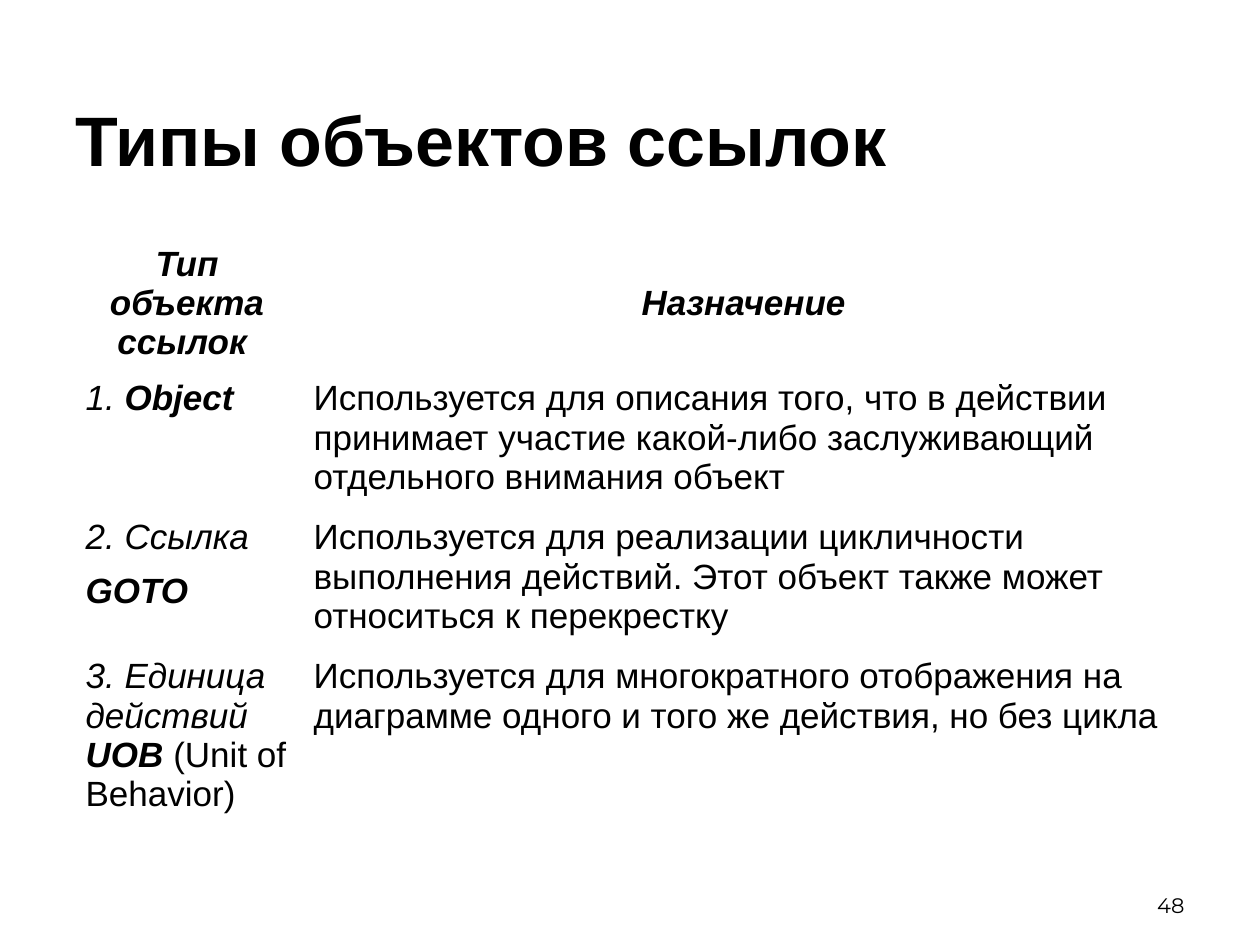
from lxml.etree import SubElement
from pptx import Presentation
from pptx.dml.color import RGBColor
from pptx.enum.text import MSO_ANCHOR, PP_ALIGN
from pptx.oxml.ns import qn
from pptx.util import Emu, Pt

SCALE = 914400 / 126  # EMU per px
COLORS = {"text": "000000", "border": "FFFFFF"}
FONT, NUMBER_FONT = "Arial", "Montserrat"
BODY_SIZE = 20

# Content: each cell is a list of (text, style[, size]); b = bold, i = italic
TITLE = "Типы объектов ссылок"
SLIDE_NUMBER = "48"
ROWS = [
    ([("Тип объекта ссылок ", "bi")],
     [("Назначение ", "bi")]),
    ([("1. ", "i"), ("Object", "bi")],
     [("Используется для описания того, что в действии принимает участие "
       "какой-либо заслуживающий отдельного внимания объект", "")]),
    ([("2. Ссылка ", "i"), ("GOTO", "bi"), (" ", "b", 29)],
     [("Используется для реализации цикличности выполнения действий. "
       "Этот объект также может относиться к перекрестку", "")]),
    ([("3. Единица действий ", "i"), ("UOB ", "bi"), ("(Unit of Behavior)", "")],
     [("Используется для многократного отображения на диаграмме "
       "одного и того же действия, но без цикла", "")]),
]
COL_WIDTHS = [228, 895]
ROW_HEIGHTS = [139, 139, 139, 180]


def px(n):
    return Emu(round(n * SCALE))


def add_run(p, text, style="", size=BODY_SIZE, font=FONT):
    r = p.add_run()
    r.text = text
    r.font.name, r.font.size = font, Pt(size)
    r.font.bold, r.font.italic = "b" in style, "i" in style
    r.font.color.rgb = RGBColor.from_string(COLORS["text"])


def add_text(s, box, text, anchor, align, **style):
    tf = s.shapes.add_textbox(*map(px, box)).text_frame
    tf.word_wrap = True
    tf.vertical_anchor = anchor
    p = tf.paragraphs[0]
    p.alignment = align
    add_run(p, text, **style)


def set_borders(cell, outer_sides):
    tc_pr = cell._tc.get_or_add_tcPr()
    for side in "LRTB":
        width = Pt(2.25) if side in outer_sides else Pt(1)
        ln = SubElement(tc_pr, qn(f"a:ln{side}"), w=str(int(width)))
        fill = SubElement(ln, qn("a:solidFill"))
        SubElement(fill, qn("a:srgbClr"), val=COLORS["border"])


def add_types_table(s):
    size = sum(COL_WIDTHS), sum(ROW_HEIGHTS)
    table = s.shapes.add_table(len(ROWS), len(COL_WIDTHS),
                               *map(px, (73, 234, *size))).table
    table.first_row = table.horz_banding = False
    for col, width in zip(table.columns, COL_WIDTHS):
        col.width = px(width)
    for row, height in zip(table.rows, ROW_HEIGHTS):
        row.height = px(height)

    for i, row in enumerate(ROWS):
        for j, runs in enumerate(row):
            cell = table.cell(i, j)
            outer = "LR"[j] + {0: "T", len(ROWS) - 1: "B"}.get(i, "")
            set_borders(cell, outer)
            cell.fill.background()
            p = cell.text_frame.paragraphs[0]
            if i == 0:
                p.alignment = PP_ALIGN.CENTER
                cell.vertical_anchor = MSO_ANCHOR.MIDDLE
            for run in runs:
                add_run(p, *run)


def main():
    prs = Presentation()
    prs.slide_width, prs.slide_height = px(1260), px(945)
    s = prs.slides.add_slide(prs.slide_layouts[6])

    # Title
    add_text(s, (63, 63, 1134, 151), TITLE, MSO_ANCHOR.MIDDLE, PP_ALIGN.LEFT,
             style="b", size=40)
    # Table of reference object types
    add_types_table(s)
    # Slide number
    add_text(s, (903, 861, 294, 63), SLIDE_NUMBER, MSO_ANCHOR.BOTTOM,
             PP_ALIGN.RIGHT, size=12, font=NUMBER_FONT)

    prs.save("out.pptx")


if __name__ == "__main__":
    main()
